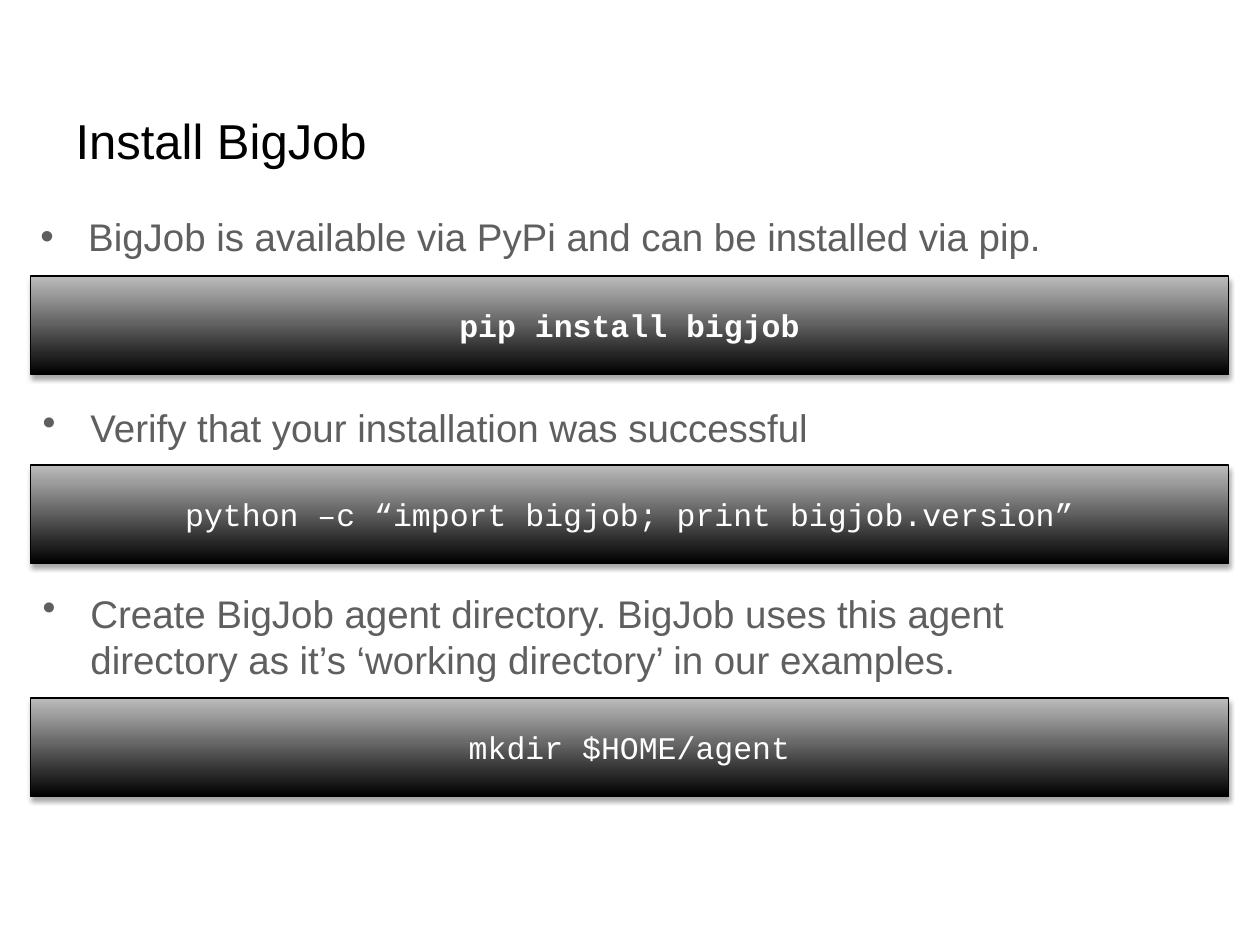
import pptx
import pptx.dml.color
import pptx.enum.shapes
import pptx.enum.text
import pptx.oxml
import pptx.oxml.ns
import pptx.util
from dataclasses import dataclass
from pptx.util import Inches

RGB = pptx.dml.color.RGBColor.from_string
ALIGN = pptx.enum.text.PP_ALIGN
ANCHOR = pptx.enum.text.MSO_ANCHOR


@dataclass(frozen=True)
class Theme:
    black: str = "000000"
    bar_top: str = "BDBDBD"
    step: str = "5F5F5F"
    white: str = "FFFFFF"
    sans: str = "Arial"
    mono: str = "Courier New"
    title_size: int = 28
    step_size: int = 22
    command_size: int = 18


THEME = Theme()
SHADOW = (
    f'<a:outerShdw {pptx.oxml.ns.nsdecls("a")} blurRad="39370" dist="22860" '
    'dir="5400000" rotWithShape="0"><a:srgbClr val="000000">'
    '<a:alpha val="35000"/></a:srgbClr></a:outerShdw>'
)
BULLET = f'<a:buChar {pptx.oxml.ns.nsdecls("a")} char="•"/>'


def write(holder, text, font_name, size, color, align, anchor):
    """Put one styled paragraph into the holder and return it."""
    frame = holder.text_frame
    frame.word_wrap = True
    frame.auto_size = pptx.enum.text.MSO_AUTO_SIZE.NONE
    frame.vertical_anchor = anchor
    paragraph = frame.paragraphs[0]
    paragraph.text = text
    paragraph.alignment = align
    paragraph.font.name = font_name
    paragraph.font.size = pptx.util.Pt(size)
    paragraph.font.color.rgb = RGB(color)
    return paragraph


def place(holder, left, top, width, height):
    holder.left, holder.top = Inches(left), Inches(top)
    holder.width, holder.height = Inches(width), Inches(height)


deck = pptx.Presentation()
deck.slide_width, deck.slide_height = Inches(10), Inches(7.5)
slide = deck.slides.add_slide(deck.slide_layouts[1])

title = slide.shapes.title
place(title, 0.5, 0.67, 9, 0.88)
write(title, "Install BigJob", THEME.sans, THEME.title_size, THEME.black,
      ALIGN.LEFT, ANCHOR.MIDDLE)

first_step = slide.placeholders[1]
place(first_step, 0.22, 1.64, 9, 0.54)

# step holder, step text, command, top of command bar, bold command
steps = [
    (first_step,
     "BigJob is available via PyPi and can be installed via pip.",
     "pip install bigjob", 2.19, True),
    (slide.shapes.add_textbox(Inches(0.24), Inches(3.16), Inches(9), Inches(1.3)),
     "Verify that your installation was successful",
     "python –c “import bigjob; print bigjob.version”", 3.69, False),
    (slide.shapes.add_textbox(Inches(0.24), Inches(4.63), Inches(9), Inches(1.3)),
     "Create BigJob agent directory. BigJob uses this agent directory "
     "as it’s ‘working directory’ in our examples.",
     "mkdir $HOME/agent", 5.54, False),
]

for holder, step, command, bar_top, bold in steps:
    item = write(holder, step, THEME.sans, THEME.step_size, THEME.step,
                 ALIGN.LEFT, ANCHOR.TOP)
    item.space_before = pptx.util.Pt(0.2 * THEME.step_size)
    properties = item._p.get_or_add_pPr()
    properties.set("marL", str(Inches(0.38)))
    properties.set("indent", str(-Inches(0.38)))
    # The bullet has to come before the default run properties.
    properties.find(pptx.oxml.ns.qn("a:defRPr")).addprevious(
        pptx.oxml.parse_xml(BULLET))

    bar = slide.shapes.add_shape(
        pptx.enum.shapes.MSO_SHAPE.RECTANGLE,
        Inches(0.24), Inches(bar_top), Inches(9.51), Inches(0.78))
    bar.fill.gradient()
    bar.fill.gradient_angle = 90
    for stop, color in zip(bar.fill.gradient_stops, (THEME.black, THEME.bar_top)):
        stop.color.rgb = RGB(color)
    bar.line.color.rgb = RGB(THEME.black)
    bar.line.width = pptx.util.Pt(0.75)
    bar.shadow.inherit = False
    effects = bar._element.spPr.find(pptx.oxml.ns.qn("a:effectLst"))
    effects.append(pptx.oxml.parse_xml(SHADOW))
    line = write(bar, command, THEME.mono, THEME.command_size, THEME.white,
                 ALIGN.CENTER, ANCHOR.MIDDLE)
    line.font.bold = bold

deck.save("out.pptx")
